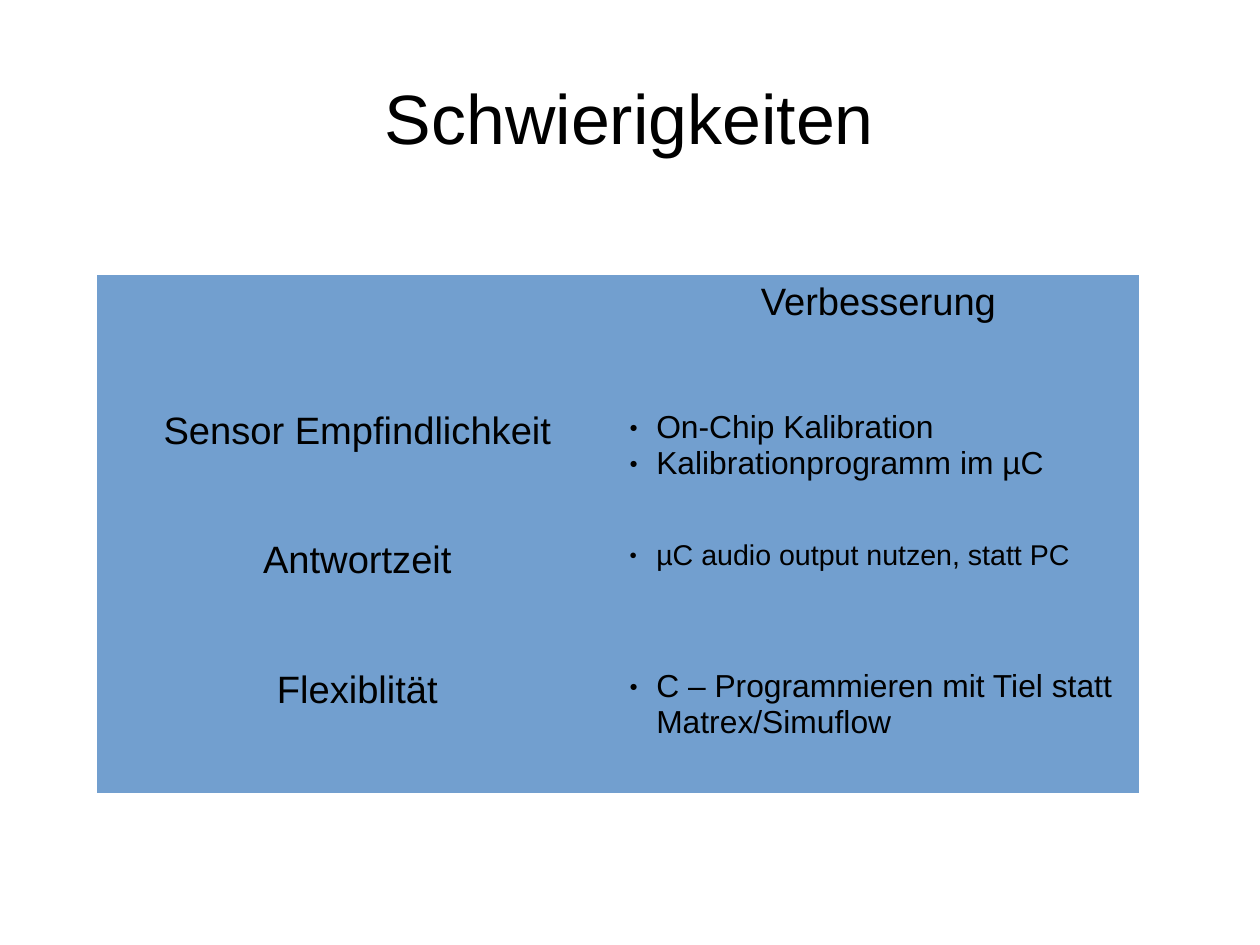
from lxml import etree
from pptx import Presentation
from pptx.dml.color import RGBColor
from pptx.enum.text import MSO_ANCHOR, PP_ALIGN
from pptx.oxml.ns import qn
from pptx.util import Pt

CENTER, LEFT = PP_ALIGN.CENTER, PP_ALIGN.LEFT
MIDDLE = MSO_ANCHOR.MIDDLE
COLORS = {"text": "000000", "cell": "729FCF"}
FONT = "Arial"
NO_GRID_STYLE = "{2D5ABB26-0587-4C30-8999-92F81FD0307C}"
BULLET_INDENT = Pt(17)


def write(frame, lines, size, align=CENTER, bullet=False):
    for i, line in enumerate(lines):
        paragraph = frame.paragraphs[0] if i == 0 else frame.add_paragraph()
        paragraph.alignment = align
        run = paragraph.add_run()
        run.text = line
        run.font.name = FONT
        run.font.size = Pt(size)
        run.font.color.rgb = RGBColor.from_string(COLORS["text"])
        if bullet:
            properties = paragraph._p.get_or_add_pPr()
            properties.set("marL", str(BULLET_INDENT))
            properties.set("indent", str(-BULLET_INDENT))
            color = etree.SubElement(properties, qn("a:buClr"))
            etree.SubElement(color, qn("a:srgbClr"), val=COLORS["text"])
            etree.SubElement(properties, qn("a:buSzPct"), val="45000")
            etree.SubElement(properties, qn("a:buFont"), typeface=FONT)
            etree.SubElement(properties, qn("a:buChar"), char="●")


presentation = Presentation()
presentation.slide_width, presentation.slide_height = Pt(793.7), Pt(595.28)
slide = presentation.slides.add_slide(presentation.slide_layouts[5])

# Title
title = slide.shapes.title
title.left, title.top, title.width, title.height = Pt(39.6), Pt(23.8), Pt(714.2), Pt(99.4)
title_frame = title.text_frame
title_frame.margin_left = title_frame.margin_right = 0
title_frame.margin_top = title_frame.margin_bottom = 0
title_frame.vertical_anchor = MIDDLE
write(title_frame, ["Schwierigkeiten"], 44)

# Difficulties with their improvements and the size of the improvement text
difficulties = [
    ("Sensor Empfindlichkeit", ["On-Chip Kalibration", "Kalibrationprogramm im µC"], 20),
    ("Antwortzeit", ["µC audio output nutzen, statt PC"], 18),
    ("Flexiblität", ["C – Programmieren mit Tiel statt Matrex/Simuflow"], 20),
]

# Table without grid lines
row_count = len(difficulties) + 1
table = slide.shapes.add_table(
    row_count, 2, Pt(61), Pt(173.2), Pt(656.4), Pt(81.55 * row_count)).table
table.first_row = table.horz_banding = False
table._tbl.tblPr.find(qn("a:tableStyleId")).text = NO_GRID_STYLE
for cell in table.iter_cells():
    cell.fill.solid()
    cell.fill.fore_color.rgb = RGBColor.from_string(COLORS["cell"])

# Cell text
write(table.cell(0, 1).text_frame, ["Verbesserung"], 24)
for row, (difficulty, improvements, size) in enumerate(difficulties, start=1):
    write(table.cell(row, 0).text_frame, [difficulty], 24)
    write(table.cell(row, 1).text_frame, improvements, size, align=LEFT, bullet=True)

presentation.save("out.pptx")
